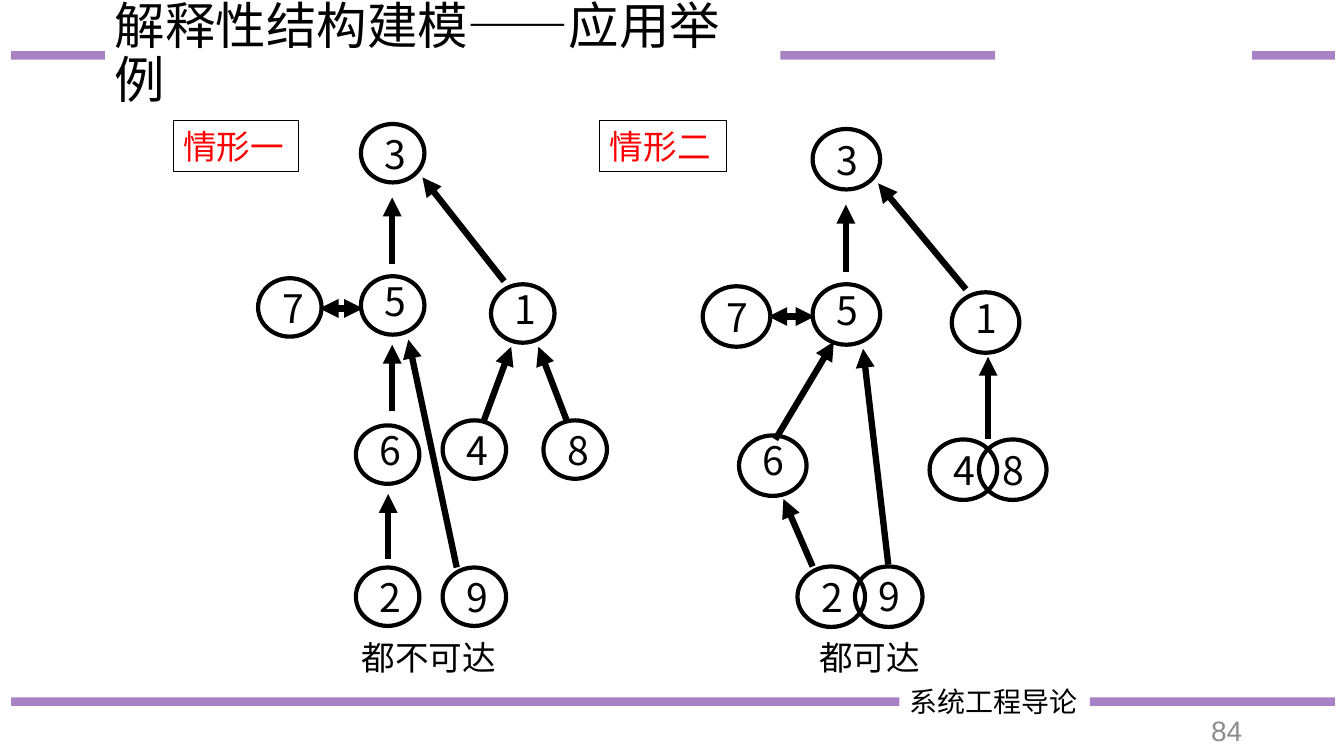
"""Build the slide comparing two cases of interpretive structural modelling."""
from dataclasses import dataclass

from lxml.etree import SubElement
from pptx import Presentation
from pptx.dml.color import RGBColor
from pptx.enum.shapes import MSO_CONNECTOR, MSO_SHAPE
from pptx.enum.text import MSO_ANCHOR, MSO_AUTO_SIZE, PP_ALIGN
from pptx.oxml.ns import qn
from pptx.shapes.connector import Connector
from pptx.shapes.group import GroupShape
from pptx.slide import Slide
from pptx.text.text import TextFrame
from pptx.util import Inches, Pt

BLACK = RGBColor(0x00, 0x00, 0x00)
RED = RGBColor(0xFF, 0x00, 0x00)
GRAY = RGBColor(0x8C, 0x8C, 0x8C)
PURPLE = RGBColor(0x70, 0x30, 0xA0)
CJK_FONT = "Noto Sans CJK SC"
NUMBER_FONT = "Arial"
LABEL_WIDTH, LABEL_HEIGHT, LABEL_OFFSET = 0.43, 0.57, 0.13


@dataclass(frozen=True)
class Node:
    number: str
    left: float
    top: float
    label_top: float


@dataclass(frozen=True)
class Line:
    start_x: float
    start_y: float
    end_x: float
    end_y: float
    both_ways: bool = False


@dataclass(frozen=True)
class Case:
    name: str
    name_left: float
    name_width: float
    node_width: float
    node_height: float
    nodes: tuple[Node, ...]
    arrows: tuple[Line, ...]
    verdict: str
    verdict_left: float
    verdict_width: float


CASES = (
    Case(
        "情形一", 1.72, 1.24, 0.63, 0.58,
        (
            Node("5", 3.58, 2.74, 2.70), Node("7", 2.56, 2.76, 2.77),
            Node("3", 3.58, 1.23, 1.24), Node("6", 3.53, 4.22, 4.18),
            Node("2", 3.53, 5.63, 5.64), Node("9", 4.39, 5.63, 5.64),
            Node("1", 4.87, 2.82, 2.78), Node("4", 4.39, 4.17, 4.18),
            Node("8", 5.39, 4.17, 4.18),
        ),
        (
            Line(3.89, 2.62, 3.89, 1.96), Line(3.17, 3.06, 3.60, 3.06, True),
            Line(3.89, 4.08, 3.89, 3.42), Line(3.85, 5.55, 3.85, 4.90),
            Line(5.00, 2.79, 4.19, 1.76), Line(4.80, 4.17, 5.07, 3.44),
            Line(5.62, 4.17, 5.34, 3.44), Line(4.53, 5.63, 4.05, 3.37),
        ),
        "都不可达", 3.43, 1.65,
    ),
    Case(
        "情形二", 5.95, 1.26, 0.67, 0.60,
        (
            Node("5", 8.06, 2.82, 2.79), Node("7", 6.97, 2.84, 2.86),
            Node("3", 8.06, 1.28, 1.30), Node("6", 7.33, 4.32, 4.28),
            Node("2", 7.91, 5.62, 5.64), Node("9", 8.48, 5.62, 5.63),
            Node("1", 9.44, 2.90, 2.87), Node("4", 9.22, 4.36, 4.38),
            Node("8", 9.71, 4.36, 4.38),
        ),
        (
            Line(8.39, 2.70, 8.39, 2.03), Line(7.62, 3.14, 8.08, 3.14, True),
            Line(7.69, 4.36, 8.27, 3.39), Line(8.06, 5.62, 7.77, 4.95),
            Line(9.58, 2.87, 8.71, 1.82), Line(9.80, 4.36, 9.80, 3.54),
            Line(8.81, 5.60, 8.56, 3.46),
        ),
        "都可达", 7.97, 1.31,
    ),
)
TITLE_Y, FOOTER_Y = 0.55, 6.96
RULES = (
    Line(0.11, FOOTER_Y, 8.92, FOOTER_Y), Line(10.81, FOOTER_Y, 13.24, FOOTER_Y),
    Line(0.11, TITLE_Y, 1.04, TITLE_Y), Line(12.42, TITLE_Y, 13.24, TITLE_Y),
    Line(7.74, TITLE_Y, 9.87, TITLE_Y),
)


def write_text(text_frame: TextFrame, text: str, size: float, color: RGBColor = BLACK,
               font_name: str = CJK_FONT, alignment: PP_ALIGN = PP_ALIGN.LEFT,
               anchor: MSO_ANCHOR = MSO_ANCHOR.MIDDLE, wrap: bool = True) -> None:
    text_frame.text = text
    text_frame.word_wrap = wrap
    text_frame.auto_size = MSO_AUTO_SIZE.NONE
    text_frame.vertical_anchor = anchor
    paragraph = text_frame.paragraphs[0]
    paragraph.alignment = alignment
    for run in paragraph.runs:
        run.font.name = font_name
        run.font.size = Pt(size)
        run.font.color.rgb = color
        SubElement(run.font._element, qn("a:ea"), typeface=font_name)


def add_line(parent: Slide | GroupShape, line: Line, color: RGBColor, width: float) -> Connector:
    shapes = parent.shapes
    connector = shapes.add_connector(
        MSO_CONNECTOR.STRAIGHT, Inches(line.start_x), Inches(line.start_y),
        Inches(line.end_x), Inches(line.end_y))
    connector.line.color.rgb = color
    connector.line.width = Pt(width)
    SubElement(connector._element.spPr, qn("a:effectLst"))
    return connector


def add_rule(slide: Slide, rule: Line) -> None:
    connector = add_line(slide, rule, PURPLE, 6)
    color = connector.line._get_or_add_ln().find(f".//{qn('a:srgbClr')}")
    SubElement(color, qn("a:alpha"), val="60000")


def add_arrow(group: GroupShape, arrow: Line) -> None:
    line_element = add_line(group, arrow, BLACK, 4.5).line._get_or_add_ln()
    if arrow.both_ways:
        SubElement(line_element, qn("a:headEnd"), type="triangle")
    SubElement(line_element, qn("a:tailEnd"), type="triangle")


def add_node(group: GroupShape, node: Node, width: float, height: float) -> None:
    label = group.shapes.add_textbox(
        Inches(node.left + LABEL_OFFSET), Inches(node.label_top),
        Inches(LABEL_WIDTH), Inches(LABEL_HEIGHT))
    write_text(label.text_frame, node.number, 28, alignment=PP_ALIGN.CENTER, wrap=False)
    circle = group.shapes.add_shape(
        MSO_SHAPE.OVAL, Inches(node.left), Inches(node.top), Inches(width), Inches(height))
    circle.shadow.inherit = False
    circle.fill.background()
    circle.line.color.rgb = BLACK
    circle.line.width = Pt(3)


def add_case(slide: Slide, case: Case) -> None:
    group = slide.shapes.add_group_shape()
    for node in case.nodes:
        add_node(group, node, case.node_width, case.node_height)
    for arrow in case.arrows:
        add_arrow(group, arrow)
    name_box = slide.shapes.add_shape(
        MSO_SHAPE.RECTANGLE, Inches(case.name_left), Inches(1.2),
        Inches(case.name_width), Inches(0.5))
    name_box.shadow.inherit = False
    name_box.fill.background()
    name_box.line.color.rgb = BLACK
    name_box.line.width = Pt(0.75)
    write_text(name_box.text_frame, case.name, 24, RED, anchor=MSO_ANCHOR.TOP)
    verdict = slide.shapes.add_textbox(
        Inches(case.verdict_left), Inches(6.27), Inches(case.verdict_width), Inches(0.5))
    write_text(verdict.text_frame, case.verdict, 24, alignment=PP_ALIGN.CENTER, wrap=False)


def main() -> None:
    presentation = Presentation()
    presentation.slide_width = Inches(13.33)
    presentation.slide_height = Inches(7.5)
    slide = presentation.slides.add_slide(presentation.slide_layouts[5])
    title = slide.shapes.title
    title.left, title.top = Inches(1.04), Inches(-0.18)
    title.width, title.height = Inches(6.7), Inches(1.45)
    write_text(title.text_frame, "解释性结构建模——应用举例", 36)
    title.text_frame.paragraphs[0].line_spacing = 0.9
    for rule in RULES:
        add_rule(slide, rule)
    footer = slide.shapes.add_textbox(Inches(8.92), Inches(6.74), Inches(2.56), Inches(0.44))
    write_text(footer.text_frame, "系统工程导论", 20, anchor=MSO_ANCHOR.TOP)
    page_number = slide.shapes.add_textbox(
        Inches(11.69), Inches(7.05), Inches(0.73), Inches(0.4))
    write_text(page_number.text_frame, "84", 20, GRAY, NUMBER_FONT, PP_ALIGN.RIGHT)
    for case in CASES:
        add_case(slide, case)
    presentation.save("out.pptx")


if __name__ == "__main__":
    main()
